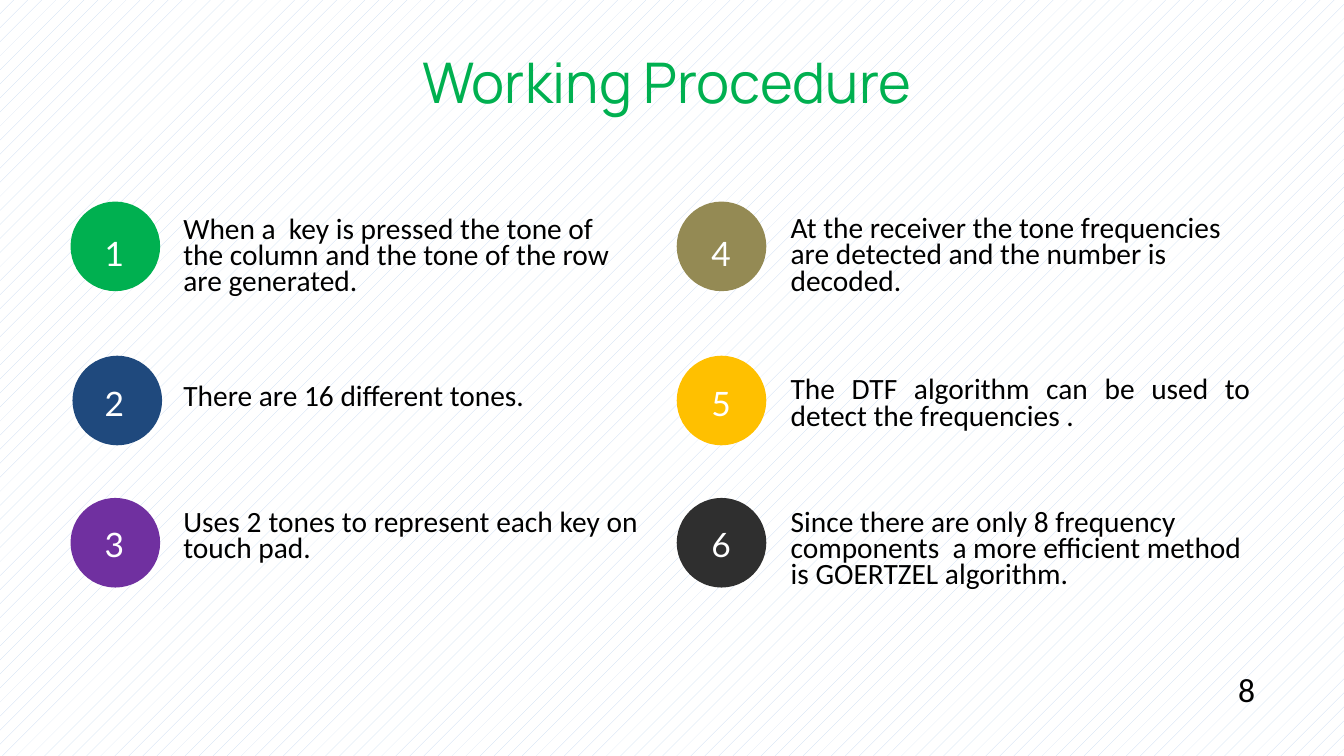
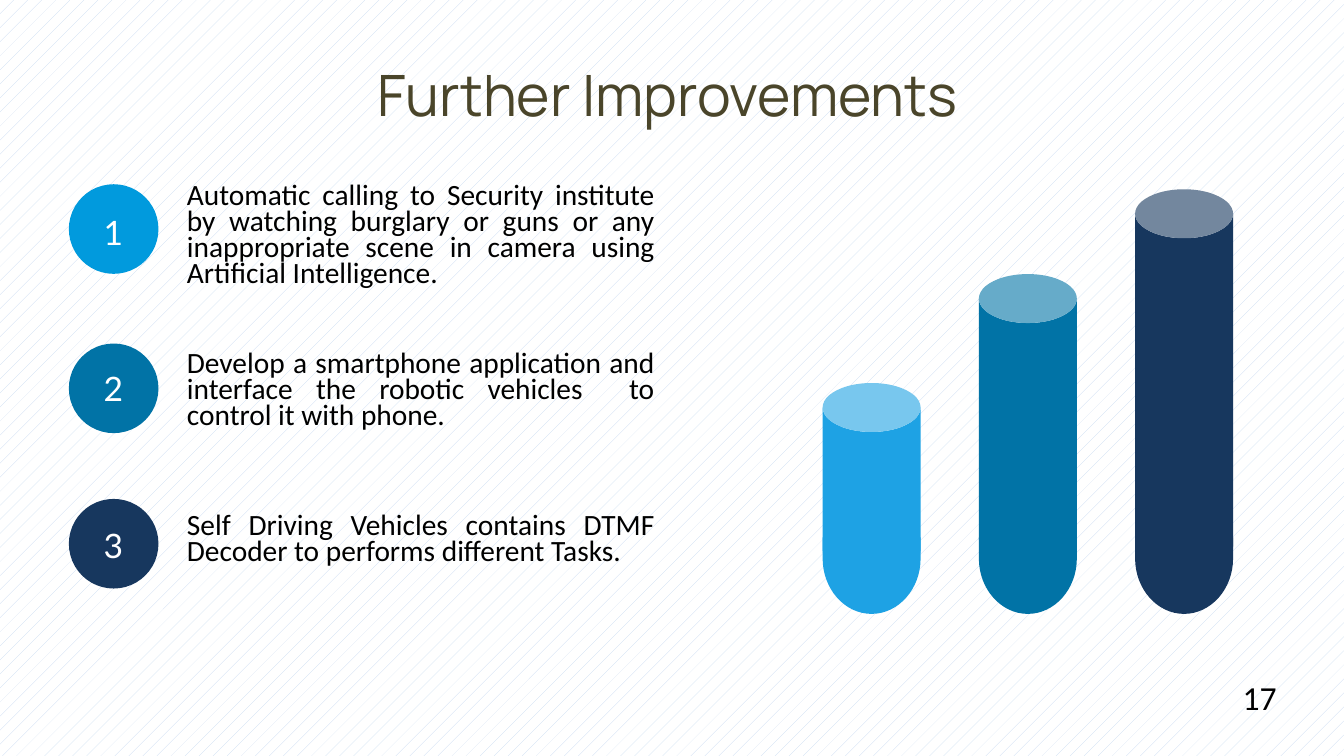
from lxml import etree
from pptx import Presentation
from pptx.dml.color import RGBColor
from pptx.enum.dml import MSO_PATTERN
from pptx.enum.shapes import MSO_SHAPE
from pptx.enum.text import MSO_ANCHOR, MSO_AUTO_SIZE, PP_ALIGN
from pptx.oxml.ns import qn
from pptx.util import Pt

LEFT, CENTER, RIGHT, JUSTIFY = PP_ALIGN.LEFT, PP_ALIGN.CENTER, PP_ALIGN.RIGHT, PP_ALIGN.JUSTIFY
TOP, MIDDLE = MSO_ANCHOR.TOP, MSO_ANCHOR.MIDDLE
NO_AUTOFIT = MSO_AUTO_SIZE.NONE
ROUNDED, CAN = MSO_SHAPE.ROUNDED_RECTANGLE, MSO_SHAPE.CAN
DOTTED = MSO_PATTERN.PERCENT_5
TITLE_ONLY = 5

# Content: each step is (circle colour, circle left, text, alignment, text top, text height)
SLIDES = [
    {
        "title": "Working Procedure",
        "title_color": "00B050", "title_size": 40, "title_top": 30.2,
        "page": ("8", 846, 474.5, RIGHT),
        # Circle top, number top
        "rows": [(144, 157), (254.1, 264), (355.7, 365)],
        # Number left, text left, text width
        "columns": [(67, 131, 324.7), (500.4, 564.8, 328.3)],
        "steps": [
            ("00B050", 50.4, "When a  key is pressed the tone of the column and the tone of the "
                             "row are generated.", LEFT, 156.6, 59.8),
            ("1F497D", 51.8, "There are 16 different tones.", JUSTIFY, 275.8, 20.9),
            ("7030A0", 50.4, "Uses 2 tones to represent each key on touch pad.",
             JUSTIFY, 365.8, 59.8),
            ("948A54", 483.4, "At the receiver the tone frequencies are detected and the number "
                              "is decoded.", LEFT, 156, 54.7),
            ("FFC000", 483.4, "The DTF algorithm can be used to detect the frequencies .",
             JUSTIFY, 271.1, 41),
            ("2F2F2F", 483.4, "Since there are only 8 frequency components  a more efficient "
                              "method is GOERTZEL algorithm.", LEFT, 365.8, 54),
        ],
        "bars": [],
    },
    {
        "title": "Further Improvements",
        "title_color": "4A452A", "title_size": 40.7, "title_top": 38.9,
        "page": ("17", 880.6, 480.2, LEFT),
        "rows": [(131.6, 141.8), (245.4, 253.4), (356.4, 365.8)],
        "columns": [(66.2, 133.5, 334)],
        "steps": [
            ("019ADD", 49.2, "Automatic calling to Security institute by watching burglary or "
                             "guns or any inappropriate scene in camera using Artificial "
                             "Intelligence.", JUSTIFY, 132.1, 83.5),
            ("0173A6", 49.2, "Develop a smartphone application and interface the robotic "
                             "vehicles  to control it with phone.", JUSTIFY, 252, 64),
            ("17375E", 49.2, "Self Driving Vehicles contains DTMF Decoder to performs different "
                             "Tasks.", JUSTIFY, 367.9, 64),
        ],
        # Bar colour, top, bottom of the can
        "bars": [("1EA2E4", 273.6, 410.4), ("0173A6", 195.8, 402.5), ("17375E", 135.2, 407.5)],
    },
]

# Shared formats
TITLE_FONT = {"name": "Manrope", "bold": False}
STEP_FONT = {"name": "Calibri", "size": Pt(21)}
NUMBER_FONT = {"name": "Lato", "size": Pt(24)}
PAGE_FONT = {"name": "Calibri", "size": Pt(24)}
STEP_PARAGRAPH = {"line_spacing": Pt(18.7), "space_before": Pt(7.5)}
NUMBER_PARAGRAPH = {"alignment": CENTER, "line_spacing": 1.5}
MARGINS = ("margin_left", "margin_top", "margin_right", "margin_bottom")
PLAIN_FRAME = {"word_wrap": True, "auto_size": NO_AUTOFIT, "vertical_anchor": TOP}
TITLE_FRAME = PLAIN_FRAME | {"margin_left": 0}
STEP_FRAME = PLAIN_FRAME | dict.fromkeys(MARGINS, 0)
NUMBER_FRAME = PLAIN_FRAME | dict.fromkeys(MARGINS, Pt(7.2)) | {"vertical_anchor": MIDDLE}

# Shared sizes, in points
CIRCLE_SIZE = 64
NUMBER_WIDTH, NUMBER_HEIGHT = 29.5, 33.1
BAR_LEFT, BAR_STEP, BAR_WIDTH = 587.6, 111.6, 70
FOOT_TOP, FOOT_SHOULDER, FOOT_BOTTOM = 383.8, 398.9, 438.5
ARC_HANDLE = 0.55


def color(hex_value):
    return RGBColor.from_string(hex_value)


def set_all(target, values):
    for name, value in values.items():
        setattr(target, name, value)


def write(shape, text, font, font_color, frame, paragraph_format):
    text_frame = shape.text_frame
    set_all(text_frame, frame)
    paragraph = text_frame.paragraphs[0]
    set_all(paragraph, paragraph_format)
    run = paragraph.add_run()
    run.text = text
    set_all(run.font, font)
    run.font.color.rgb = color(font_color)


def paint(shape, fill_color):
    shape.shadow.inherit = False
    shape.fill.solid()
    shape.fill.fore_color.rgb = color(fill_color)
    shape.line.fill.background()


def place(left, top, width, height):
    return Pt(left), Pt(top), Pt(width), Pt(height)


def add_title(slide, content):
    title = slide.shapes.title
    title.left, title.top, title.width, title.height = place(261.7, content["title_top"], 437, 60.5)
    font = TITLE_FONT | {"size": Pt(content["title_size"])}
    write(title, content["title"], font, content["title_color"], TITLE_FRAME, {"alignment": CENTER})


def add_steps(slide, content):
    rows = content["rows"]
    for index, step in enumerate(content["steps"]):
        fill_color, circle_left, text, alignment, text_top, text_height = step
        column, row = divmod(index, len(rows))
        circle_top, number_top = rows[row]
        number_left, text_left, text_width = content["columns"][column]

        circle = slide.shapes.add_shape(
            ROUNDED, *place(circle_left, circle_top, CIRCLE_SIZE, CIRCLE_SIZE))
        circle.adjustments[0] = 0.5
        paint(circle, fill_color)
        number = slide.shapes.add_textbox(
            *place(number_left, number_top, NUMBER_WIDTH, NUMBER_HEIGHT))
        write(number, str(index + 1), NUMBER_FONT, "FFFFFF", NUMBER_FRAME, NUMBER_PARAGRAPH)
        box = slide.shapes.add_textbox(*place(text_left, text_top, text_width, text_height))
        write(box, text, STEP_FONT, "000000", STEP_FRAME, STEP_PARAGRAPH | {"alignment": alignment})


def curve_lines(shape, first):
    """Turn the line segments from first on into cubic curves, three points to a curve."""
    lines = list(shape._element.iter(qn("a:lnTo")))[first:]
    for start in range(0, len(lines), 3):
        curve = etree.Element(qn("a:cubicBezTo"))
        lines[start].addprevious(curve)
        for line in lines[start:start + 3]:
            curve.append(line[0])
            line.getparent().remove(line)


def add_foot(shapes, left, fill_color):
    right, middle = left + BAR_WIDTH, left + BAR_WIDTH / 2
    handle_x = ARC_HANDLE * BAR_WIDTH / 2
    handle_y = FOOT_SHOULDER + ARC_HANDLE * (FOOT_BOTTOM - FOOT_SHOULDER)
    sides = [(right, FOOT_TOP), (right, FOOT_SHOULDER)]
    arc = [
        (right, handle_y), (middle + handle_x, FOOT_BOTTOM), (middle, FOOT_BOTTOM),
        (middle - handle_x, FOOT_BOTTOM), (left, handle_y), (left, FOOT_SHOULDER),
    ]
    builder = shapes.build_freeform(Pt(left), Pt(FOOT_TOP))
    builder.add_line_segments([(Pt(x), Pt(y)) for x, y in sides + arc], close=True)
    foot = builder.convert_to_shape()
    curve_lines(foot, len(sides))
    paint(foot, fill_color)


def add_bars(slide, bars):
    for index, (fill_color, top, bottom) in enumerate(bars):
        left = BAR_LEFT + index * BAR_STEP
        group = slide.shapes.add_group_shape()
        can = group.shapes.add_shape(CAN, *place(left, top, BAR_WIDTH, bottom - top))
        can.adjustments[0] = 0.5
        paint(can, fill_color)
        add_foot(group.shapes, left, fill_color)


def add_page_number(slide, page):
    number, left, top, alignment = page
    box = slide.shapes.add_textbox(*place(left, top, 57.6, 41))
    write(box, number, PAGE_FONT, "000000", PLAIN_FRAME, {"alignment": alignment})


def main():
    presentation = Presentation()
    presentation.slide_width, presentation.slide_height = Pt(960), Pt(540)

    # Dotted background for all slides
    background = presentation.slide_master.background.fill
    background.patterned()
    background.pattern = DOTTED
    background.fore_color.rgb = color("C6D9F1")
    background.back_color.rgb = color("FFFFFF")

    for content in SLIDES:
        slide = presentation.slides.add_slide(presentation.slide_layouts[TITLE_ONLY])
        add_title(slide, content)
        add_steps(slide, content)
        add_bars(slide, content["bars"])
        add_page_number(slide, content["page"])
    presentation.save("out.pptx")


if __name__ == "__main__":
    main()
